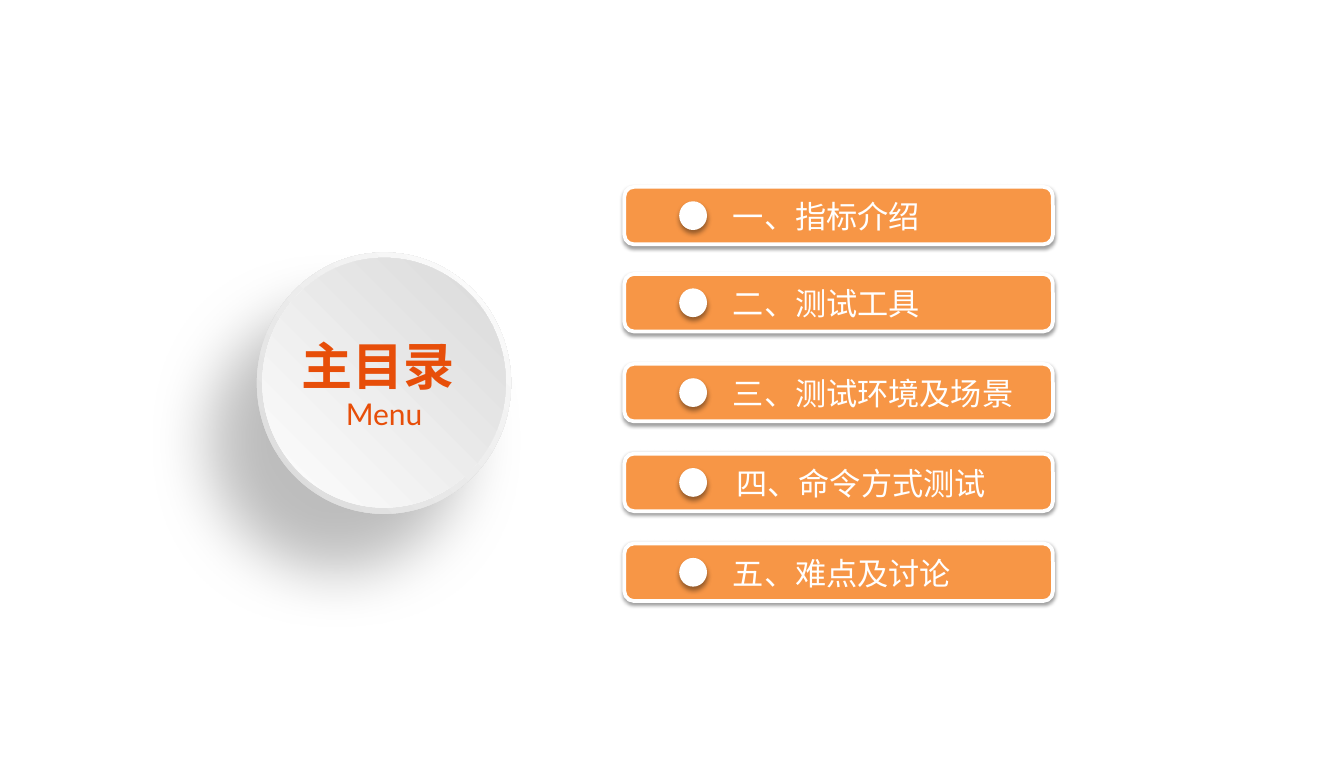
"""Build the main menu slide with a round title and five numbered bars."""
from lxml import etree
from pptx import Presentation
from pptx.dml.color import RGBColor
from pptx.enum.shapes import MSO_SHAPE
from pptx.enum.text import MSO_ANCHOR, PP_ALIGN
from pptx.oxml.ns import qn
from pptx.util import Inches, Pt

ELLIPSE, ROUND_RECT = MSO_SHAPE.OVAL, MSO_SHAPE.ROUNDED_RECTANGLE
MIDDLE, CENTER = MSO_ANCHOR.MIDDLE, PP_ALIGN.CENTER

WHITE = RGBColor(0xFF, 0xFF, 0xFF)
NEAR_WHITE = RGBColor(0xFE, 0xFE, 0xFE)
GREY = RGBColor(0xD9, 0xD9, 0xD9)
ORANGE = RGBColor(0xF7, 0x96, 0x46)
RED = RGBColor(0xE7, 0x4E, 0x09)
BLACK = RGBColor(0, 0, 0)

DISC_SHADOW = (25, 50, 60, 130)
BAR_SHADOW = (38, 3.1, 1.6, 90)
DOT_SHADOW = (40, 4, 3, 90)

MENU = [
    (2.08, 8.06, 2.68, "一、指标介绍"),
    (3.05, 8.06, 2.44, "二、测试工具"),
    (4.05, 8.06, 3.51, "三、测试环境及场景"),
    (5.05, 8.1, 3.62, "四、命令方式测试"),
    (6.05, 8.06, 2.68, "五、难点及讨论"),
]


class MenuSlide:
    def __init__(self, slide):
        self.slide = slide
        self.title_font = "Lato"
        self.item_font = "Noto Sans CJK SC"

    def shape(self, kind, x, y, w, h, fill=None, border=None, shadow=None):
        sp = self.slide.shapes.add_shape(kind, Inches(x), Inches(y), Inches(w), Inches(h))
        if fill is not None:
            sp.fill.solid()
            sp.fill.fore_color.rgb = fill
        if border is None:
            sp.line.fill.background()
        else:
            sp.line.color.rgb = border
            sp.line.width = Pt(3)
        sp.shadow.inherit = False
        if shadow:
            self.shadow(sp, *shadow)
        return sp

    def shadow(self, sp, alpha, blur, dist, angle):
        effects = sp._element.spPr.find(qn("a:effectLst"))
        outer = etree.SubElement(effects, qn("a:outerShdw"), blurRad=str(Pt(blur)),
                                 dist=str(Pt(dist)), dir=str(angle * 60000),
                                 algn="ctr", rotWithShape="0")
        color = etree.SubElement(outer, qn("a:srgbClr"), val=str(BLACK))
        etree.SubElement(color, qn("a:alpha"), val=str(alpha * 1000))

    def disc(self, x, y, w, h, start, end, shadow=None):
        sp = self.shape(ELLIPSE, x, y, w, h, shadow=shadow)
        sp.fill.gradient()
        for stop, color in zip(sp.fill.gradient_stops, (start, end)):
            stop.color.rgb = color
        grad = sp._element.spPr.find(qn("a:gradFill"))
        grad.remove(grad.find(qn("a:lin")))
        radial = etree.SubElement(grad, qn("a:path"), path="circle")
        etree.SubElement(radial, qn("a:fillToRect"), l="100000", b="100000")
        return sp

    def font(self, r, name, size, color, bold=False):
        r.font.name = name
        r.font.size = Pt(size)
        r.font.bold = bold
        r.font.color.rgb = color
        etree.SubElement(r.font._element, qn("a:ea"), typeface=name)

    def title(self, sp, heading, subtitle):
        tf = sp.text_frame
        tf.word_wrap = True
        tf.vertical_anchor = MIDDLE
        tf.margin_left = tf.margin_right = 0
        p = tf.paragraphs[0]
        p.text = f"{heading} \v{subtitle}"
        p.alignment = CENTER
        self.font(p.runs[0], self.title_font, 41, RED, True)
        self.font(p.runs[1], self.title_font, 24, RED)

    def item(self, top, left, width, text):
        self.shape(ROUND_RECT, 6.95, top, 4.77, 0.64, ORANGE, WHITE, BAR_SHADOW)
        box = self.slide.shapes.add_textbox(Inches(left), Inches(top + 0.07),
                                            Inches(width), Inches(0.52))
        tf = box.text_frame
        tf.word_wrap = True
        tf.text = text
        self.font(tf.paragraphs[0].runs[0], self.item_font, 25, WHITE)
        self.shape(ELLIPSE, 7.56, top + 0.16, 0.31, 0.32, WHITE, shadow=DOT_SHADOW)


def main():
    prs = Presentation()
    prs.slide_width, prs.slide_height = Inches(14.96), Inches(8.66)
    s = MenuSlide(prs.slides.add_slide(prs.slide_layouts[6]))
    s.disc(2.86, 2.81, 2.83, 2.91, WHITE, GREY, DISC_SHADOW)
    face = s.disc(2.92, 2.87, 2.71, 2.78, GREY, NEAR_WHITE)
    s.title(face, "主目录", "Menu")
    for entry in MENU:
        s.item(*entry)
    prs.save("out.pptx")


if __name__ == "__main__":
    main()
